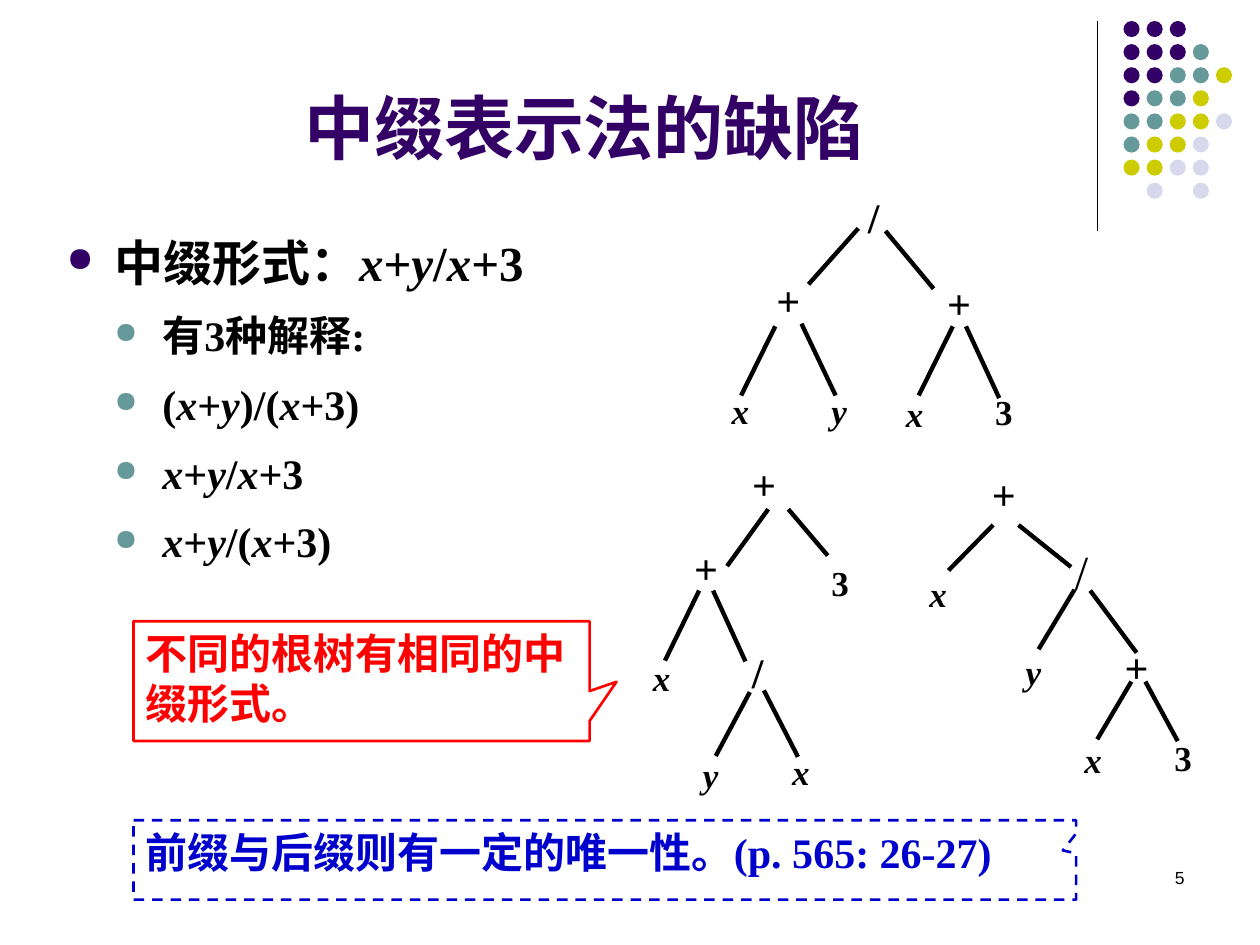
"""Build the slide on the flaws of infix notation, with three expression trees."""
from itertools import groupby

from lxml.etree import SubElement
from pptx import Presentation
from pptx.dml.color import RGBColor
from pptx.enum.dml import MSO_LINE
from pptx.enum.shapes import MSO_CONNECTOR, MSO_SHAPE
from pptx.enum.text import MSO_ANCHOR, PP_ALIGN
from pptx.oxml.ns import qn
from pptx.util import Pt

SERIF, SANS = "Times New Roman", "Arial"
THEME = {
    "colors": {"ink": "000000", "purple": "330066", "teal": "669999", "lime": "CCCC00",
               "lilac": "D8D8EC", "red": "FF0000", "blue": "0000CC"},
    "text": {
        "title": (40, SERIF, True, "purple", PP_ALIGN.CENTER),
        "head": (28, SERIF, True, "ink", PP_ALIGN.JUSTIFY),
        "item": (24, SERIF, True, "ink", PP_ALIGN.JUSTIFY),
        "leaf": (20, SERIF, True, "ink", PP_ALIGN.LEFT),
        "op": (24, SERIF, True, "ink", PP_ALIGN.CENTER),
        "root": (24, SERIF, True, "ink", PP_ALIGN.RIGHT),
        "slash": (28, SERIF, False, "ink", PP_ALIGN.LEFT),
        "warning": (24, SANS, True, "red", PP_ALIGN.LEFT),
        "remark": (24, SERIF, True, "blue", PP_ALIGN.LEFT),
        "number": (10, SANS, False, "ink", PP_ALIGN.RIGHT),
    },
    "lines": {"rule": 0.75, "callout": 1.5, "edge": 2.5},
}

TITLE = ("中缀表示法的缺陷", (36.7, 31.7, 594, 68.4))
BODY_AT = (31, 122.4, 311.8, 221)
BODY = [
    ("head", "中缀形式：x+y/x+3"),
    ("item", "有3种解释:"),
    ("item", "(x+y)/(x+3)"),
    ("item", "x+y/x+3"),
    ("item", "x+y/(x+3)"),
]
BULLETS = {"head": (0, "purple"), "item": (1, "teal")}
INDENT = 27.36
CALLOUTS = [
    ("warning", "不同的根树有相同的中缀形式。", (76.3, 355, 260.6, 68.4),
     (0.559, 0.006), MSO_LINE.SOLID),
    ("remark", "前缀与后缀则有一定的唯一性。(p. 565: 26-27)", (76.3, 468.7, 538.6, 45.4),
     (0.486, -0.119), MSO_LINE.DASH),
]
NUMBER = ("5", (516.2, 491.8, 167.8, 36))
RULE = (627, 12, 627, 132)
DOT_ROWS = ["PPP", "PPPT", "PPTTL", "PTTL", "TTLLV", "TLLV", "LLVV", " V V"]
DOT_COLORS = {"P": "purple", "T": "teal", "L": "lime", "V": "lilac"}
DOT_LEFT, DOT_TOP, DOT_STEP, DOT_SIZE = 642, 12, 13.2, 9.2

TREES = [
    {"nodes": [
        ("/", "op", (476.5, 106, 45.5, 27)),
        ("+", "op", (433.5, 153.5, 34, 22)),
        ("+", "op", (533.5, 155, 29, 27)),
        ("x", "leaf", (411, 219, 23, 22)),
        ("y", "leaf", (468, 219, 40, 27)),
        ("x", "leaf", (510.5, 221, 23, 22)),
        ("3", "leaf", (561.5, 219.5, 40, 27))],
     "edges": [
        (490.5, 130.5, 462, 162.5), (506, 132, 533.5, 165), (443, 186.5, 423.5, 226),
        (458, 185, 477.5, 226), (544.5, 186.5, 525, 226), (552, 186.5, 571, 227.5)]},
    {"nodes": [
        ("+", "root", (411, 258.5, 39.5, 27)),
        ("+", "op", (389, 306.5, 29, 26.5)),
        ("3", "leaf", (468, 317.5, 39.5, 27)),
        ("x", "leaf", (366, 371.5, 23, 21.5)),
        ("/", "op", (418.5, 366, 29, 25)),
        ("y", "leaf", (394.5, 427, 23, 20)),
        ("x", "leaf", (445.5, 425.5, 39.5, 25))],
     "edges": [
        (439, 291, 415.5, 323.5), (450.5, 291, 473, 317.5), (399.5, 337.5, 380, 377.5),
        (407.5, 337.5, 426, 378), (428.5, 395.5, 409, 432), (436.5, 394.5, 456, 432.5)]},
    {"nodes": [
        ("+", "root", (548, 264, 39.5, 26)),
        ("x", "leaf", (524, 323.5, 23, 21)),
        ("/", "slash", (607, 306, 39.5, 26)),
        ("y", "leaf", (579, 368, 39.5, 26)),
        ("+", "op", (635, 363, 29, 23)),
        ("x", "leaf", (612.5, 418.5, 23, 18.5)),
        ("3", "leaf", (664, 417.5, 39.5, 23))],
     "edges": [
        (567.5, 300, 542, 326), (582, 300, 612, 324), (614, 337, 593.5, 371),
        (623, 337.5, 649.5, 373), (646.5, 389.5, 627, 422.5), (654.5, 389.5, 673, 423.5)]},
]


def color(name):
    return RGBColor.from_string(THEME["colors"][name])


def pts(values):
    return [Pt(v) for v in values]


def apply(obj, values):
    for name, value in values.items():
        setattr(obj, name, value)


def write(p, text, style):
    size, font, bold, ink, align = THEME["text"][style]
    p.alignment = align
    for italic, chars in groupby(text, key=lambda c: c in "xy"):
        r = p.add_run()
        r.text = "".join(chars)
        apply(r.font, {"size": Pt(size), "name": font, "bold": bold, "italic": italic})
        r.font.color.rgb = color(ink)


def add_text(shapes, text, style, at):
    tf = shapes.add_textbox(*pts(at)).text_frame
    tf.word_wrap = True
    write(tf.paragraphs[0], text, style)
    return tf


def add_line(shapes, ends, kind):
    ln = shapes.add_connector(MSO_CONNECTOR.STRAIGHT, *pts(ends))
    apply(ln.line, {"width": Pt(THEME["lines"][kind])})
    ln.line.color.rgb = color("ink")
    SubElement(ln._element.spPr, qn("a:effectLst"))


def add_bullet(p, style):
    level, ink = BULLETS[style]
    apply(p, {"level": level, "line_spacing": 1.2,
              "space_before": Pt(THEME["text"][style][0] * 0.2)})
    pPr = p._p.get_or_add_pPr()
    pPr.set("marL", str(Pt(INDENT * (level + 1))))
    pPr.set("indent", str(-Pt(INDENT)))
    clr = SubElement(pPr, qn("a:buClr"))
    SubElement(clr, qn("a:srgbClr"), val=THEME["colors"][ink])
    SubElement(pPr, qn("a:buSzPct"), val="70000")
    SubElement(pPr, qn("a:buChar"), char="●")


def add_dots(shapes):
    for row, marks in enumerate(DOT_ROWS):
        for col, mark in enumerate(marks):
            if mark in DOT_COLORS:
                at = (DOT_LEFT + col * DOT_STEP, DOT_TOP + row * DOT_STEP, DOT_SIZE, DOT_SIZE)
                sp = shapes.add_shape(MSO_SHAPE.OVAL, *pts(at))
                sp.shadow.inherit = False
                sp.fill.solid()
                sp.fill.fore_color.rgb = color(DOT_COLORS[mark])
                sp.line.fill.background()


def add_callout(shapes, style, text, at, tip, dash):
    sp = shapes.add_shape(MSO_SHAPE.RECTANGULAR_CALLOUT, *pts(at))
    sp.shadow.inherit = False
    sp.adjustments[0], sp.adjustments[1] = tip
    sp.fill.background()
    sp.line.color.rgb = color(THEME["text"][style][3])
    apply(sp.line, {"width": Pt(THEME["lines"]["callout"]), "dash_style": dash})
    apply(sp.text_frame, {"word_wrap": True, "vertical_anchor": MSO_ANCHOR.TOP})
    write(sp.text_frame.paragraphs[0], text, style)


def main():
    prs = Presentation()
    apply(prs, {"slide_width": Pt(720), "slide_height": Pt(540)})
    s = prs.slides.add_slide(prs.slide_layouts[6])
    add_line(s.shapes, RULE, "rule")
    add_dots(s.shapes.add_group_shape().shapes)

    tf = add_text(s.shapes, TITLE[0], "title", TITLE[1])
    tf.vertical_anchor = MSO_ANCHOR.BOTTOM
    tf.paragraphs[0].line_spacing = 1.2

    tf = s.shapes.add_textbox(*pts(BODY_AT)).text_frame
    tf.word_wrap = True
    for i, (style, text) in enumerate(BODY):
        p = tf.add_paragraph() if i else tf.paragraphs[0]
        write(p, text, style)
        add_bullet(p, style)

    for tree in TREES:
        group = s.shapes.add_group_shape().shapes
        for node in tree["nodes"]:
            add_text(group, *node)
        for edge in tree["edges"]:
            add_line(group, edge, "edge")

    for callout in CALLOUTS:
        add_callout(s.shapes, *callout)
    add_text(s.shapes, NUMBER[0], "number", NUMBER[1])
    prs.save("out.pptx")


if __name__ == "__main__":
    main()
